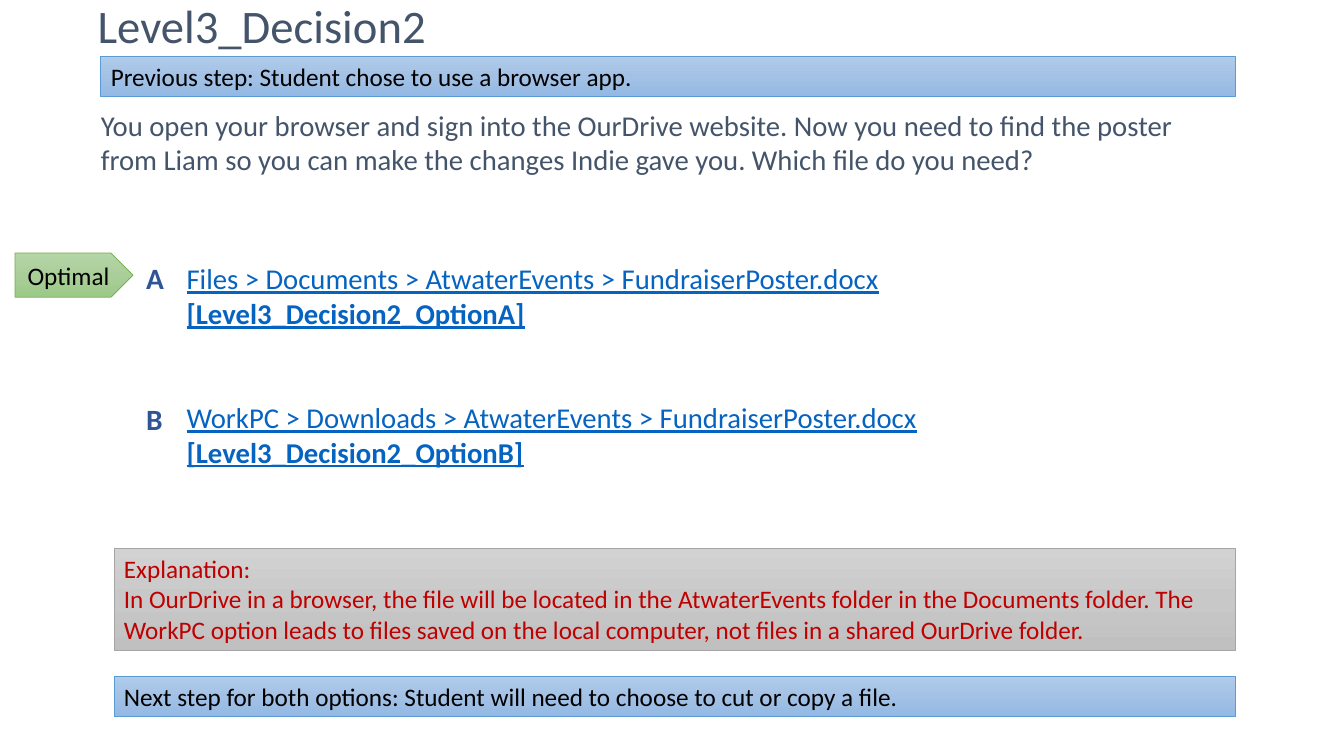
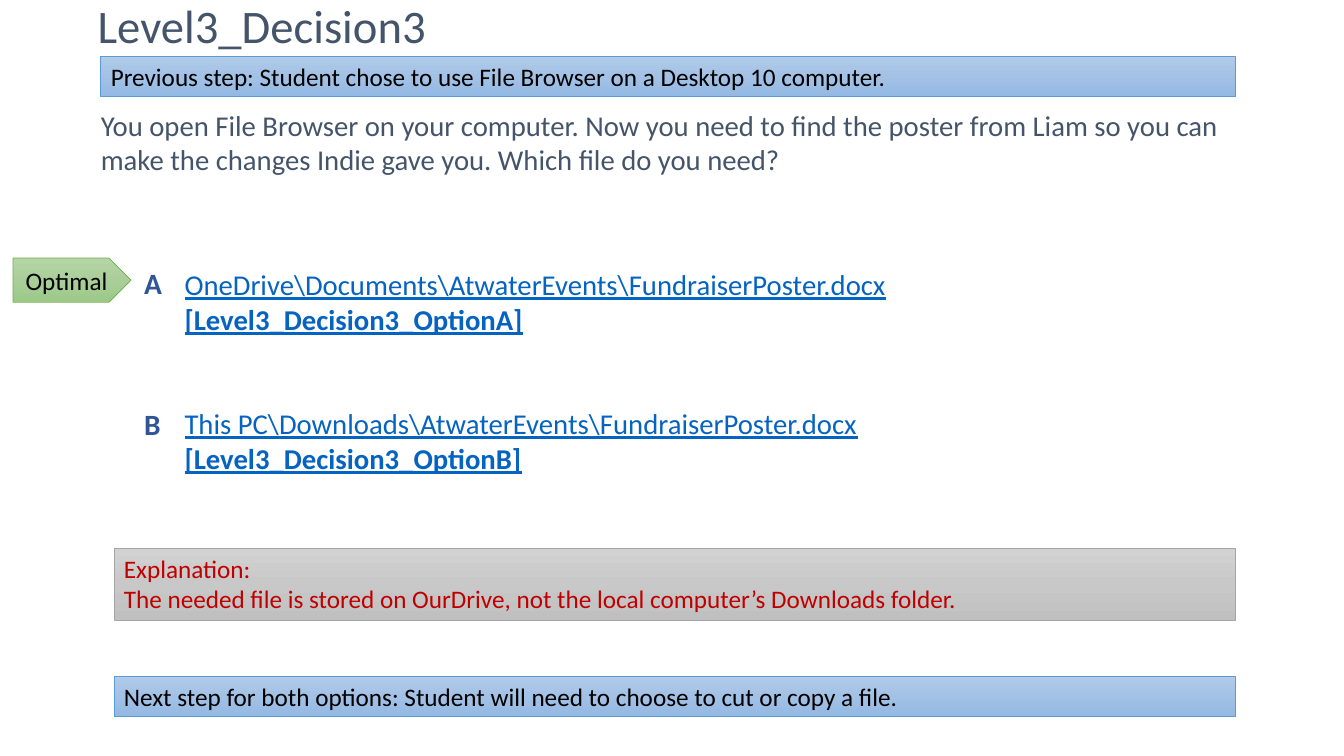
import copy

import pptx
import pptx.dml.color
import pptx.enum.shapes
import pptx.enum.text
import pptx.oxml.ns
import pptx.util

Inches = pptx.util.Inches
Pt = pptx.util.Pt
RGBColor = pptx.dml.color.RGBColor
SHAPE = pptx.enum.shapes.MSO_SHAPE
ALIGN = pptx.enum.text.PP_ALIGN
ANCHOR = pptx.enum.text.MSO_ANCHOR

# Colours
SLATE = RGBColor(0x44, 0x54, 0x6A)
LETTER_BLUE = RGBColor(0x2F, 0x55, 0x97)
LINK_BLUE = RGBColor(0x05, 0x63, 0xC1)
RED = RGBColor(0xC0, 0x00, 0x00)
BLACK = RGBColor(0x00, 0x00, 0x00)

# Panel styles: gradient from top to bottom, then the outline
BLUE_PANEL = ((RGBColor(0xB1, 0xCB, 0xE9), RGBColor(0xA3, 0xC1, 0xE5),
               RGBColor(0x93, 0xB9, 0xE4)), RGBColor(0x5B, 0x9B, 0xD5))
GREY_PANEL = ((RGBColor(0xD2, 0xD2, 0xD2), RGBColor(0xC8, 0xC8, 0xC8),
               RGBColor(0xC0, 0xC0, 0xC0)), RGBColor(0xA5, 0xA5, 0xA5))
GREEN_PANEL = ((RGBColor(0xB5, 0xD5, 0xA7), RGBColor(0xAA, 0xCE, 0x9A),
                RGBColor(0x9C, 0xC9, 0x87)), RGBColor(0x70, 0xAD, 0x47))

# Text styles
TITLE = {"size": Pt(33.3), "color": SLATE}
BODY = {"size": Pt(20.5), "color": SLATE}
LETTER = {"size": Pt(21), "color": LETTER_BLUE, "bold": True}
LINK = {"size": Pt(20.5), "color": LINK_BLUE, "underline": True}
LINK_TARGET = {**LINK, "bold": True}
PANEL_TEXT = {"size": Pt(18), "color": BLACK}
EXPLANATION_TEXT = {"size": Pt(18), "color": RED}

MIDDLE = {"vertical_anchor": ANCHOR.MIDDLE}
WIDE_MARGINS = {"margin_left": Inches(0.13), "margin_right": Inches(0.13),
                "margin_top": Inches(0.07), "margin_bottom": Inches(0.07)}

OPTION_PITCH = 1.4
NEXT_STEP = "Next step for both options: Student will need to choose to cut or copy a file."

decisions = [
    {
        "name": "Level3_Decision2",
        "previous": "Previous step: Student chose to use a browser app.",
        "question": "You open your browser and sign into the OurDrive website. Now you need "
                    "to find the poster from Liam so you can make the changes Indie gave you. "
                    "Which file do you need?",
        "files": ["Files > Documents > AtwaterEvents > FundraiserPoster.docx",
                  "WorkPC > Downloads > AtwaterEvents > FundraiserPoster.docx"],
        "explanation": "In OurDrive in a browser, the file will be located in the AtwaterEvents "
                       "folder in the Documents folder. The WorkPC option leads to files saved "
                       "on the local computer, not files in a shared OurDrive folder.",
        "explanation_height": 1.01,
        "option_left": 1.32, "option_top": 2.51, "link_top": 2.52, "link_width": 10.05,
    },
    {
        "name": "Level3_Decision3",
        "previous": "Previous step: Student chose to use File Browser on a Desktop 10 computer.",
        "question": "You open File Browser on your computer. Now you need to find the poster "
                    "from Liam so you can make the changes Indie gave you. "
                    "Which file do you need?",
        "files": ["OneDrive\\Documents\\AtwaterEvents\\FundraiserPoster.docx",
                  "This PC\\Downloads\\AtwaterEvents\\FundraiserPoster.docx"],
        "explanation": "The needed file is stored on OurDrive, not the local computer’s "
                       "Downloads folder.",
        "explanation_height": 0.71,
        "option_left": 1.3, "option_top": 2.56, "link_top": 2.58, "link_width": 9.62,
    },
]


def write_text(shape, paragraphs, frame_format, paragraph_format):
    """Fill a shape with paragraphs, each a list of (text, style) runs."""
    frame = shape.text_frame
    frame.word_wrap = True
    for name, value in frame_format.items():
        setattr(frame, name, value)
    for index, runs in enumerate(paragraphs):
        paragraph = frame.add_paragraph() if index else frame.paragraphs[0]
        for name, value in paragraph_format.items():
            if index or name != "space_before":
                setattr(paragraph, name, value)
        for text, style in runs:
            run = paragraph.add_run()
            run.text = text
            run.font.name = "Calibri"
            for name, value in style.items():
                if name == "color":
                    run.font.color.rgb = value
                else:
                    setattr(run.font, name, value)


def add_panel(slide, preset, box, panel_style):
    """Add a shape with a three-stop vertical gradient and a thin outline."""
    colors, outline = panel_style
    shape = slide.shapes.add_shape(preset, *map(Inches, box))
    shape.shadow.inherit = False
    shape.line.color.rgb = outline
    shape.line.width = Pt(0.5)
    shape.fill.gradient()
    shape.fill.gradient_angle = 270
    stop_list = shape._element.spPr.find(".//" + pptx.oxml.ns.qn("a:gsLst"))
    stop_list.insert(1, copy.deepcopy(stop_list[0]))
    for index, (stop, color) in enumerate(zip(shape.fill.gradient_stops, colors)):
        stop.position = index / 2
        stop.color.rgb = color
    return shape


presentation = pptx.Presentation()
presentation.slide_width = Inches(13.33)
presentation.slide_height = Inches(7.5)

for decision in decisions:
    slide = presentation.slides.add_slide(presentation.slide_layouts[6])
    left, top = decision["option_left"], decision["option_top"]

    # Question, option links, title and option letters
    links = [[(file + " ", LINK), (f"[{decision['name']}_Option{letter}]", LINK_TARGET)]
             for letter, file in zip("AB", decision["files"])]
    text_boxes = [
        ((0.87, 1, 11.39, 4.03), [[(decision["question"], BODY)]], WIDE_MARGINS, {}),
        ((left + 0.4, decision["link_top"], decision["link_width"], 2.32), links,
         WIDE_MARGINS, {"space_before": Pt(50)}),
        ((0.87, 0.01, 11.39, 0.55), [[(decision["name"], TITLE)]], MIDDLE,
         {"line_spacing": 0.9}),
    ]
    for index, letter in enumerate("AB"):
        text_boxes.append(((left, top + index * OPTION_PITCH, 0.7, 0.5),
                           [[(letter, LETTER)]], WIDE_MARGINS, {}))
    for box, paragraphs, frame_format, paragraph_format in text_boxes:
        text_box = slide.shapes.add_textbox(*map(Inches, box))
        write_text(text_box, paragraphs, frame_format, paragraph_format)

    # Tag for the best option
    tag = add_panel(slide, SHAPE.PENTAGON, (left - 1.17, top, 1.17, 0.44), GREEN_PANEL)
    write_text(tag, [[("Optimal", PANEL_TEXT)]], MIDDLE, {"alignment": ALIGN.CENTER})

    # Next step, explanation and previous step
    panels = [
        ((1.13, 6.71, 11.12, 0.4), BLUE_PANEL, [NEXT_STEP], PANEL_TEXT),
        ((1.13, 5.44, 11.12, decision["explanation_height"]), GREY_PANEL,
         ["Explanation:", decision["explanation"]], EXPLANATION_TEXT),
        ((1, 0.56, 11.25, 0.4), BLUE_PANEL, [decision["previous"]], PANEL_TEXT),
    ]
    for box, panel_style, texts, text_style in panels:
        panel = add_panel(slide, SHAPE.RECTANGLE, box, panel_style)
        write_text(panel, [[(text, text_style)] for text in texts],
                   {"vertical_anchor": ANCHOR.TOP}, {"alignment": ALIGN.LEFT})

presentation.save("out.pptx")
